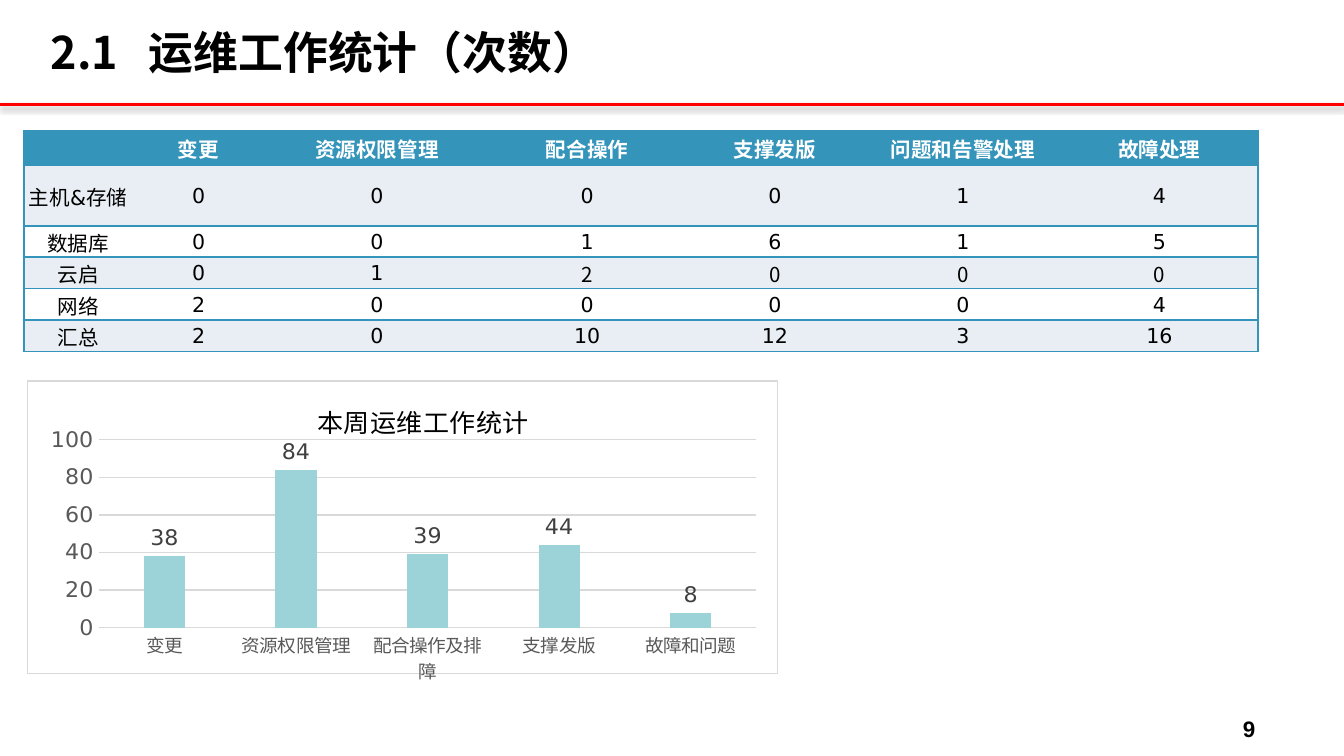
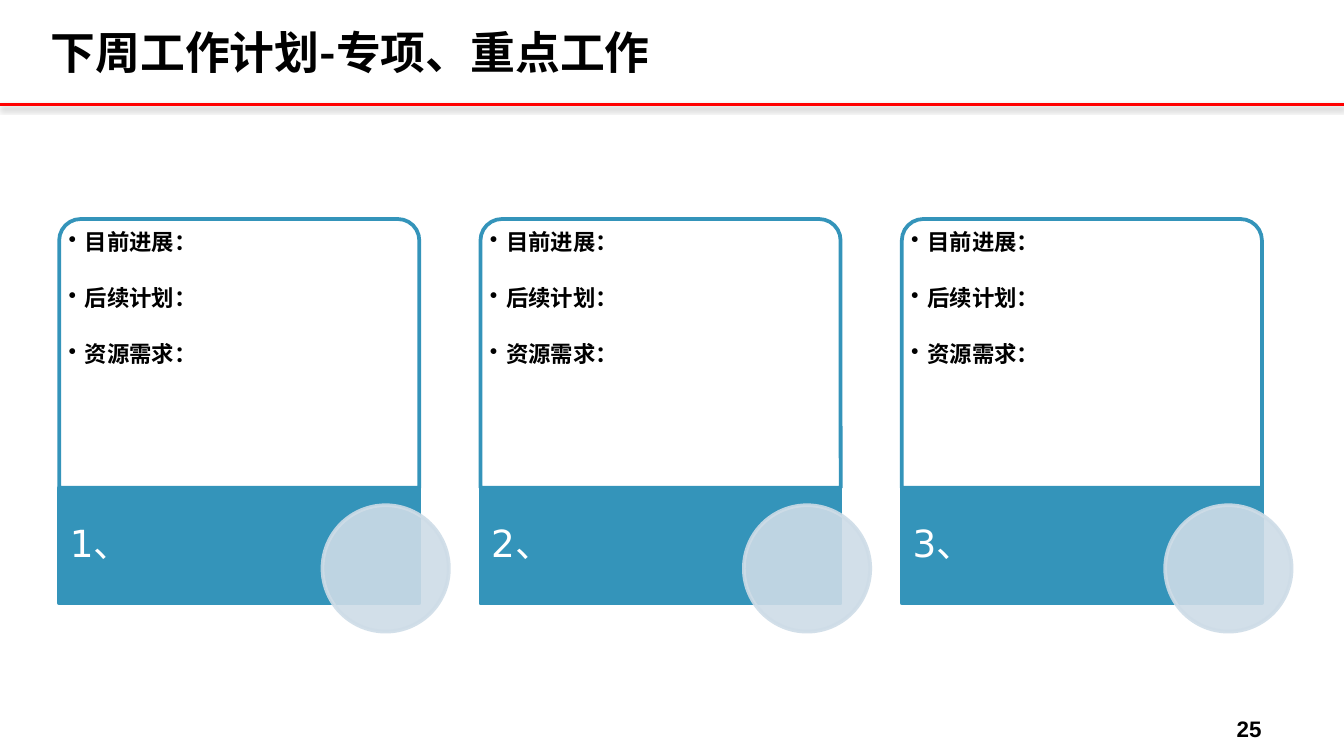
"""Build the weekly operations statistics slide and the work plan slide."""
from dataclasses import dataclass

from lxml import etree
from pptx import Presentation
from pptx import util as u
from pptx.chart.data import CategoryChartData
from pptx.dml.color import RGBColor
from pptx.enum import chart as charts
from pptx.enum import shapes, text
from pptx.oxml import parse_xml
from pptx.oxml.ns import nsdecls, qn

COLORS = {
    "black": "000000", "white": "FFFFFF", "red": "FF0000", "teal": "3494BA",
    "stripe": "E8EEF3", "disc": "CEDCE7", "bar": "9BD3D9", "grid": "D9D9D9",
    "axis": "595959", "label": "404040",
}
SANS, CJK, ARIAL = "DejaVu Sans", "Noto Sans CJK SC", "Arial"
NO_TABLE_STYLE = "{2D5ABB26-0587-4C30-8999-92F81FD0307C}"


@dataclass(frozen=True)
class Box:
    left: float
    top: float
    width: float
    height: float

    def lengths(self) -> tuple:
        return tuple(u.Inches(n) for n in (self.left, self.top, self.width, self.height))


@dataclass(frozen=True)
class TextStyle:
    size: float
    font: str = SANS
    color: str = "black"
    bold: bool = False
    align: text.PP_ALIGN = text.PP_ALIGN.LEFT


@dataclass(frozen=True)
class Card:
    left: float
    caption: str


TITLE = TextStyle(24, CJK, bold=True)
PAGE_NUMBER = TextStyle(12, ARIAL, bold=True, align=text.PP_ALIGN.CENTER)
TABLE_HEAD = TextStyle(11, color="white", bold=True, align=text.PP_ALIGN.CENTER)
TABLE_BODY = TextStyle(11, align=text.PP_ALIGN.CENTER)
TABLE_BODY_CJK = TextStyle(11, CJK, align=text.PP_ALIGN.CENTER)
CARD_ITEM = TextStyle(12, bold=True)
CARD_CAPTION = TextStyle(20, color="white")

TABLE_BOX = Box(0.18, 0.97, 9.18, 1.43)
TABLE_ROWS = [
    ["", "变更", "资源权限管理", "配合操作", "支撑发版", "问题和告警处理", "故障处理"],
    ["主机&存储", "0", "0", "0", "0", "1", "4"],
    ["数据库", "0", "0", "1", "6", "1", "5"],
    ["云启", "0", "1", "2", "0", "0", "0"],
    ["网络", "2", "0", "0", "0", "0", "4"],
    ["汇总", "2", "0", "10", "12", "3", "16"],
]
COLUMN_WIDTHS = [0.8, 0.99, 1.66, 1.46, 1.33, 1.46, 1.46]
HEAD_HEIGHT, WRAPPED_HEIGHT = 0.26, 0.45
ROW_HEIGHT = (TABLE_BOX.height - HEAD_HEIGHT) / 5
ROW_HEIGHTS = [HEAD_HEIGHT, WRAPPED_HEIGHT] + [ROW_HEIGHT] * 4
WORK_COUNTS = {"变更": 38, "资源权限管理": 84, "配合操作及排障": 39, "支撑发版": 44, "故障和问题": 8}
CARD_ITEMS = ["目前进展：", "后续计划：", "资源需求："]
CARDS = [Card(0.44 + 6.27 * i / 2, f"{i + 1}、") for i in range(3)]


def rgb(name: str) -> RGBColor:
    return RGBColor.from_string(COLORS[name])


def set_font(font, size: float, color: str, bold: bool = False, name: str = SANS) -> None:
    font.size, font.bold, font.name = u.Pt(size), bold, name
    font.color.rgb = rgb(color)


def style_paragraph(paragraph, style: TextStyle) -> None:
    paragraph.alignment = style.align
    for run in paragraph.runs:
        set_font(run.font, style.size, style.color, style.bold, style.font)
        latin = run._r.rPr.find(qn("a:latin"))
        latin.addnext(parse_xml(f'<a:ea {nsdecls("a")} typeface="{CJK}"/>'))
    if not paragraph.runs:
        etree.SubElement(paragraph._p, qn("a:endParaRPr"), sz=str(style.size * 100))


def add_text(slide, box: Box, content: str, style: TextStyle,
             margins: tuple = (0.1, 0.05, 0.1, 0.05), anchor=text.MSO_ANCHOR.TOP):
    frame = slide.shapes.add_textbox(*box.lengths()).text_frame
    frame.word_wrap = True
    frame.vertical_anchor = anchor
    (frame.margin_left, frame.margin_top,
     frame.margin_right, frame.margin_bottom) = (u.Inches(m) for m in margins)
    frame.text = content
    for paragraph in frame.paragraphs:
        style_paragraph(paragraph, style)
    return frame


def add_block(slide, kind, box: Box, fill: str, line: str):
    shape = slide.shapes.add_shape(kind, *box.lengths())
    shape.shadow.inherit = False
    shape.fill.solid()
    shape.fill.fore_color.rgb = rgb(fill)
    shape.line.color.rgb = rgb(line)
    shape.line.width = u.Pt(2)
    return shape


def set_opacity(shape, percent: int, *color_routes: str) -> None:
    properties = shape._element.spPr
    for route in color_routes:
        for color in properties.findall(route, {"a": properties.nsmap["a"]}):
            etree.SubElement(color, qn("a:alpha"), val=str(percent * 1000))


def add_frame(presentation, title: str, number: str):
    slide = presentation.slides.add_slide(presentation.slide_layouts[6])
    rule = slide.shapes.add_connector(
        shapes.MSO_CONNECTOR.STRAIGHT, 0, u.Inches(0.78), u.Inches(10), u.Inches(0.78))
    rule.line.color.rgb = rgb("red")
    rule.line.width = u.Pt(1.5)
    rule._element.spPr.append(parse_xml(
        f'<a:effectLst {nsdecls("a")}><a:outerShdw blurRad="{u.Pt(3.1)}" dist="{u.Pt(1.6)}"'
        f' dir="5400000" rotWithShape="0"><a:srgbClr val="{COLORS["black"]}">'
        '<a:alpha val="38000"/></a:srgbClr></a:outerShdw></a:effectLst>'))
    frame = add_text(slide, Box(0.28, 0.12, 7.83, 0.53), title, TITLE,
                     anchor=text.MSO_ANCHOR.MIDDLE)
    frame.paragraphs[0]._p.get_or_add_pPr().append(parse_xml(
        f'<a:tabLst {nsdecls("a")}><a:tab pos="{u.Inches(0.73)}" algn="l"/></a:tabLst>'))
    add_text(slide, Box(8.98, 5.27, 0.63, 0.24), number, PAGE_NUMBER)
    return slide


def style_cell(cell, content: str, style: TextStyle, fill: str, edges: list) -> None:
    cell.text = content
    style_paragraph(cell.text_frame.paragraphs[0], style)
    cell.vertical_anchor = text.MSO_ANCHOR.MIDDLE
    cell.margin_left = cell.margin_right = cell.margin_top = u.Inches(0.01)
    cell.margin_bottom = 0
    properties = cell._tc.get_or_add_tcPr()
    for edge in edges:
        properties.append(parse_xml(
            f'<a:ln{edge} {nsdecls("a")} w="{u.Pt(1)}"><a:solidFill>'
            f'<a:srgbClr val="{COLORS["teal"]}"/></a:solidFill></a:ln{edge}>'))
    cell.fill.solid()
    cell.fill.fore_color.rgb = rgb(fill)


def add_work_table(slide) -> None:
    last = len(COLUMN_WIDTHS) - 1
    table = slide.shapes.add_table(len(TABLE_ROWS), last + 1, *TABLE_BOX.lengths()).table
    table._tbl.tblPr.find(qn("a:tableStyleId")).text = NO_TABLE_STYLE
    stretch = TABLE_BOX.width / sum(COLUMN_WIDTHS)
    for column, width in zip(table.columns, COLUMN_WIDTHS):
        column.width = u.Inches(width * stretch)
    for i, values in enumerate(TABLE_ROWS):
        table.rows[i].height = u.Inches(ROW_HEIGHTS[i])
        fill = "teal" if i == 0 else "stripe" if i % 2 else "white"
        for j, value in enumerate(values):
            style = TABLE_BODY if i else TABLE_HEAD
            if i == 3 and j >= 3:
                style = TABLE_BODY_CJK
            edges = ["L"] * (j == 0) + ["R"] * (j == last) + ["T", "B"]
            style_cell(table.cell(i, j), value, style, fill, edges)


def style_axis(axis, size: float) -> None:
    axis.major_tick_mark = axis.minor_tick_mark = charts.XL_TICK_MARK.NONE
    set_font(axis.tick_labels.font, size, "axis")


def style_thin_line(line) -> None:
    line.color.rgb = rgb("grid")
    line.width = u.Pt(0.75)


def place(parent, index: int, target: str = "", **sizes: float) -> None:
    for layout in parent.findall(qn("c:layout")):
        parent.remove(layout)
    parent.insert(index, parse_xml(
        f'<c:layout {nsdecls("c")}><c:manualLayout>{target}'
        '<c:xMode val="edge"/><c:yMode val="edge"/>'
        + "".join(f'<c:{key} val="{size}"/>' for key, size in sizes.items())
        + '</c:manualLayout></c:layout>'))


def add_work_chart(slide) -> None:
    data = CategoryChartData()
    data.categories = list(WORK_COUNTS)
    data.add_series("Series 1", list(WORK_COUNTS.values()))
    chart = slide.shapes.add_chart(
        charts.XL_CHART_TYPE.COLUMN_CLUSTERED, *Box(0.2, 2.83, 5.59, 2.18).lengths(), data).chart
    slide.shapes[-1].height = u.Inches(2.26)
    set_font(chart.font, 10, "black")
    chart.has_legend = False
    chart.has_title = True
    title_frame = chart.chart_title.text_frame
    title_frame.text = "本周运维工作统计"
    set_font(title_frame.paragraphs[0].runs[0].font, 14, "black")
    chart.chart_title.include_in_layout = False

    style_axis(chart.category_axis, 10)
    style_thin_line(chart.category_axis.format.line)
    values = chart.value_axis
    style_axis(values, 11.9)
    values.minimum_scale, values.maximum_scale, values.major_unit = 0, 100, 20
    values.format.line.fill.background()
    style_thin_line(values.major_gridlines.format.line)

    plot = chart.plots[0]
    plot.gap_width, plot.overlap, plot.vary_by_categories = 219, -27, False
    fill = plot.series[0].format.fill
    fill.solid()
    fill.fore_color.rgb = rgb("bar")
    plot.has_data_labels = True
    labels = plot.data_labels
    labels.show_value = True
    labels.position = charts.XL_LABEL_POSITION.OUTSIDE_END
    set_font(labels.font, 11.9, "label")

    chart_element = chart._chartSpace.find(qn("c:chart"))
    place(chart_element.find(qn("c:title")), 1, x=0.38, y=0.05)
    place(chart_element.find(qn("c:plotArea")), 0, '<c:layoutTarget val="inner"/>',
          x=0.095, y=0.201, w=0.877, h=0.643)
    chart_element.addnext(parse_xml(
        f'<c:spPr {nsdecls("c", "a")}><a:noFill/><a:ln w="{u.Pt(0.75)}"><a:solidFill>'
        f'<a:srgbClr val="{COLORS["grid"]}"/></a:solidFill></a:ln></c:spPr>'))


def add_card(slide, card: Card) -> None:
    kinds = shapes.MSO_SHAPE
    left = card.left
    panel = add_block(slide, kinds.ROUND_2_SAME_RECTANGLE, Box(left, 1.63, 2.68, 2),
                      "white", "teal")
    panel.adjustments[0], panel.adjustments[1] = 0.08, 0
    set_opacity(panel, 90, "a:solidFill/a:srgbClr")
    items = add_text(slide, Box(left + 0.05, 1.67, 2.59, 1.95), "\n".join(CARD_ITEMS),
                     CARD_ITEM, (0.02, 0.05, 0.02, 0.02))
    for paragraph in items.paragraphs:
        paragraph.level = 1
        paragraph.line_spacing = 0.9
        paragraph.space_after = u.Pt(17)
        properties = paragraph._p.get_or_add_pPr()
        properties.set("marL", str(u.Inches(0.12)))
        properties.set("indent", str(-u.Inches(0.12)))
        etree.SubElement(properties, qn("a:buChar"), char="•")
    add_block(slide, kinds.RECTANGLE, Box(left, 3.63, 2.68, 0.86), "teal", "teal")
    caption = add_text(slide, Box(left, 3.63, 1.89, 0.86), card.caption, CARD_CAPTION,
                       (0.08, 0, 0.03, 0), text.MSO_ANCHOR.MIDDLE)
    caption.paragraphs[0].line_spacing = 0.9
    disc = add_block(slide, kinds.OVAL, Box(left + 1.96, 3.76, 0.94, 0.94), "disc", "disc")
    set_opacity(disc, 90, "a:solidFill/a:srgbClr", "a:ln/a:solidFill/a:srgbClr")


def main() -> None:
    presentation = Presentation()
    presentation.slide_width = u.Inches(10)
    presentation.slide_height = u.Inches(10) * 9 // 16
    statistics = add_frame(presentation, "2.1\t运维工作统计（次数）", "9")
    add_work_table(statistics)
    add_work_chart(statistics)
    plan = add_frame(presentation, "下周工作计划-专项、重点工作", "25")
    for card in CARDS:
        add_card(plan, card)
    presentation.save("out.pptx")


if __name__ == "__main__":
    main()
